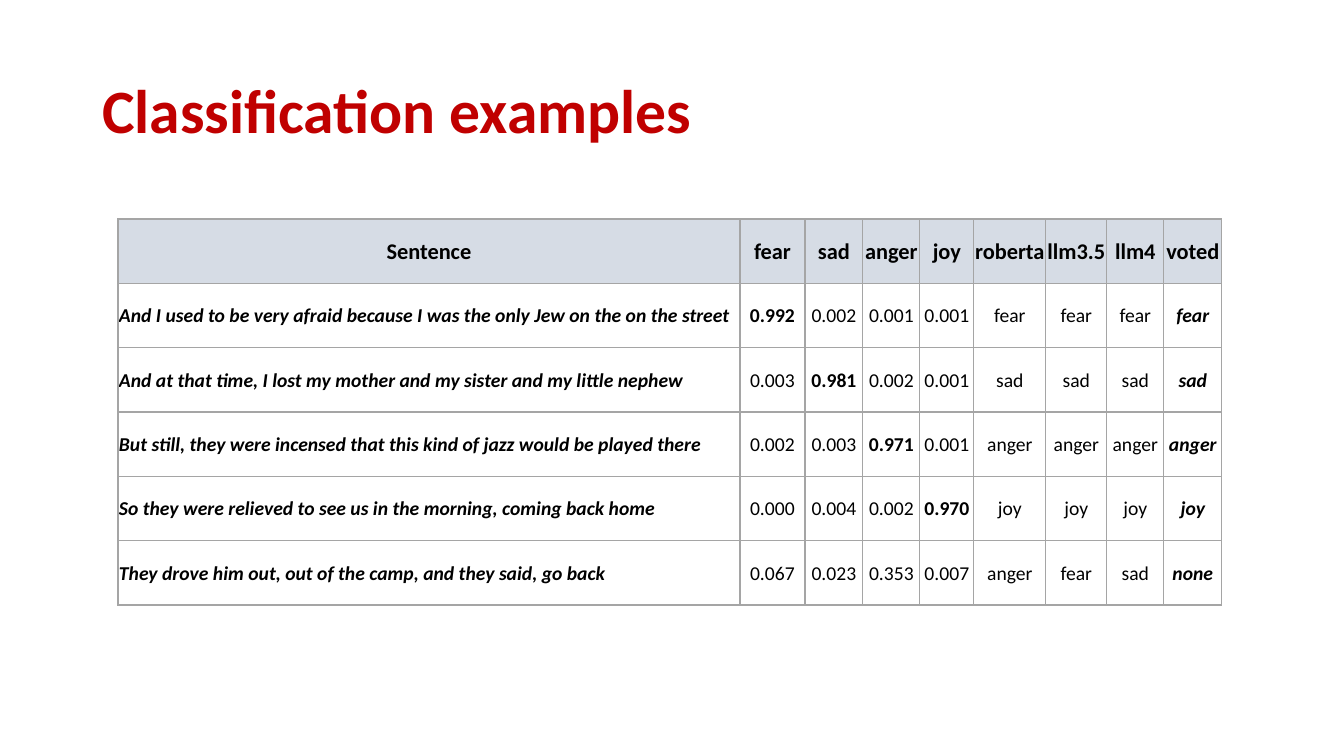
from lxml.etree import SubElement
from pptx import Presentation
from pptx.dml.color import RGBColor
from pptx.enum.text import MSO_ANCHOR, PP_ALIGN
from pptx.oxml.ns import qn
from pptx.util import Pt

COLORS = {"title": "C00000", "text": "000000", "head": "D6DCE5", "line": "A5A5A5"}
SCALE = 914400 / 100.8


def px(n):
    return round(n * SCALE)


def style(para, size, color, bold, italic=False):
    form = {"name": "Calibri", "size": Pt(size), "bold": bold, "italic": italic}
    font = para.runs[0].font
    for key, value in form.items():
        setattr(font, key, value)
    font.color.rgb = RGBColor.from_string(COLORS[color])


deck = Presentation()
deck.slide_width, deck.slide_height = px(1344), px(756)
slide = deck.slides.add_slide(deck.slide_layouts[5])

# Title
title = slide.shapes.title
place = {"left": 92, "top": 41, "width": 1159, "height": 146}
for key, value in place.items():
    setattr(title, key, px(value))
frame = title.text_frame
frame.text = "Classification examples"
frame.word_wrap = True
frame.vertical_anchor = MSO_ANCHOR.MIDDLE
para = frame.paragraphs[0]
para.alignment = PP_ALIGN.LEFT
para.line_spacing = 0.9
style(para, 44, "title", True)

# Table content
heads = ["Sentence", "fear", "sad", "anger", "joy", "roberta", "llm3.5", "llm4", "voted"]
rows = [
    ["And I used to be very afraid because I was the only Jew on the on the street",
     "0.992", "0.002", "0.001", "0.001", "fear", "fear", "fear", "fear"],
    ["And at that time, I lost my mother and my sister and my little nephew",
     "0.003", "0.981", "0.002", "0.001", "sad", "sad", "sad", "sad"],
    ["But still, they were incensed that this kind of jazz would be played there",
     "0.002", "0.003", "0.971", "0.001", "anger", "anger", "anger", "anger"],
    ["So they were relieved to see us in the morning, coming back home",
     "0.000", "0.004", "0.002", "0.970", "joy", "joy", "joy", "joy"],
    ["They drove him out, out of the camp, and they said, go back",
     "0.067", "0.023", "0.353", "0.007", "anger", "fear", "sad", "none"],
]
grid = [heads] + rows
widths = [622, 65, 58, 57, 54, 72, 61, 57, 58]
last = len(heads) - 1

# Table frame
table = slide.shapes.add_table(len(grid), len(heads), px(118), px(219),
                               px(sum(widths)), px(386)).table
table.horz_banding = False
for col, width in zip(table.columns, widths):
    col.width = px(width)
for row in table.rows:
    row.height = px(386) // len(grid)

# Cells
inset = {"margin_left": px(1), "margin_right": px(1), "margin_top": px(1), "margin_bottom": 0}
for r, line in enumerate(grid):
    for c, text in enumerate(line):
        cell = table.cell(r, c)
        cell.text = text
        cell.vertical_anchor = MSO_ANCHOR.MIDDLE
        for key, value in inset.items():
            setattr(cell, key, value)

        # Bold marks the header, the outer columns and any winning score
        head = r == 0
        outer = c in (0, last)
        win = 0 < r and 1 <= c <= 4 and float(text) > 0.5
        para = cell.text_frame.paragraphs[0]
        para.alignment = PP_ALIGN.LEFT if c == 0 and not head else PP_ALIGN.CENTER
        style(para, 16 if head else 14, "text", head or outer or win, outer and not head)

        # Borders go before the fill
        props = cell._tc.get_or_add_tcPr()
        for side in ("a:lnL", "a:lnR", "a:lnT", "a:lnB"):
            edge = SubElement(props, qn(side), w=str(Pt(1)))
            solid = SubElement(edge, qn("a:solidFill"))
            SubElement(solid, qn("a:srgbClr"), val=COLORS["line"])
        if head:
            cell.fill.solid()
            cell.fill.fore_color.rgb = RGBColor.from_string(COLORS["head"])
        else:
            cell.fill.background()

deck.save("out.pptx")
